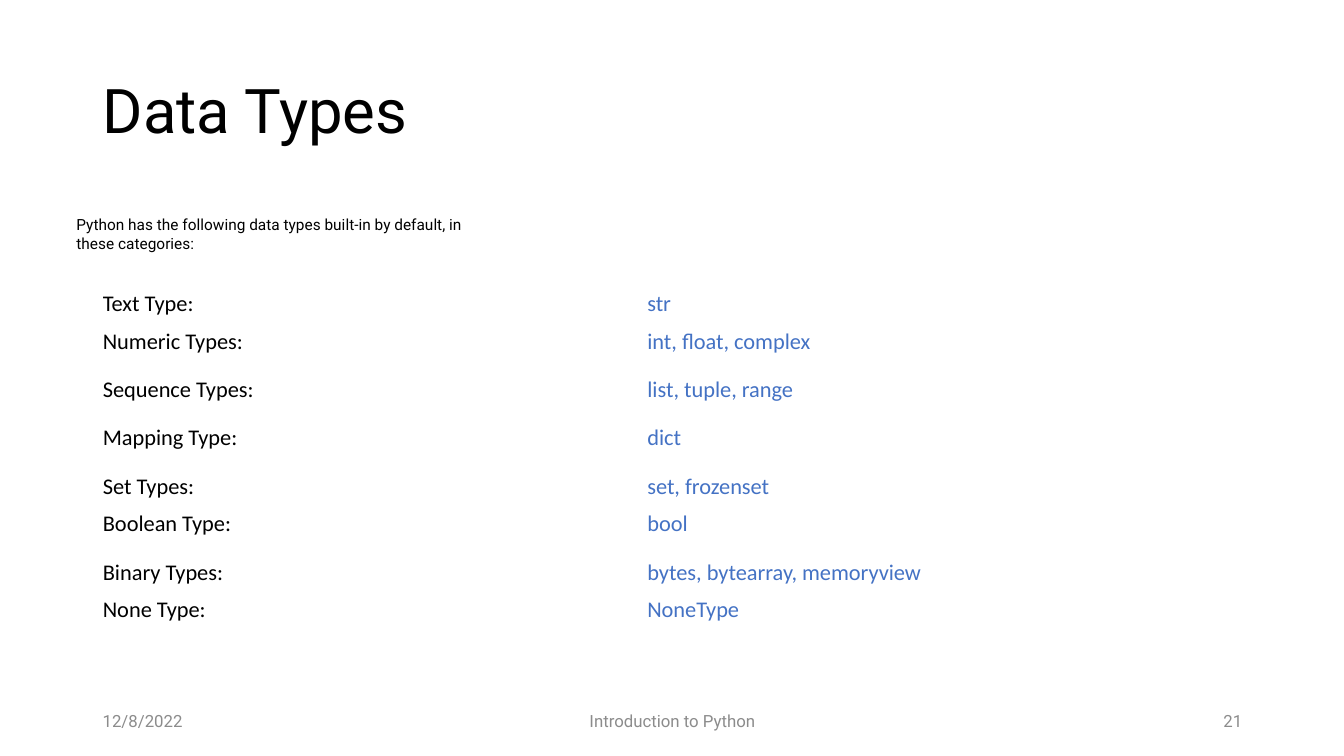
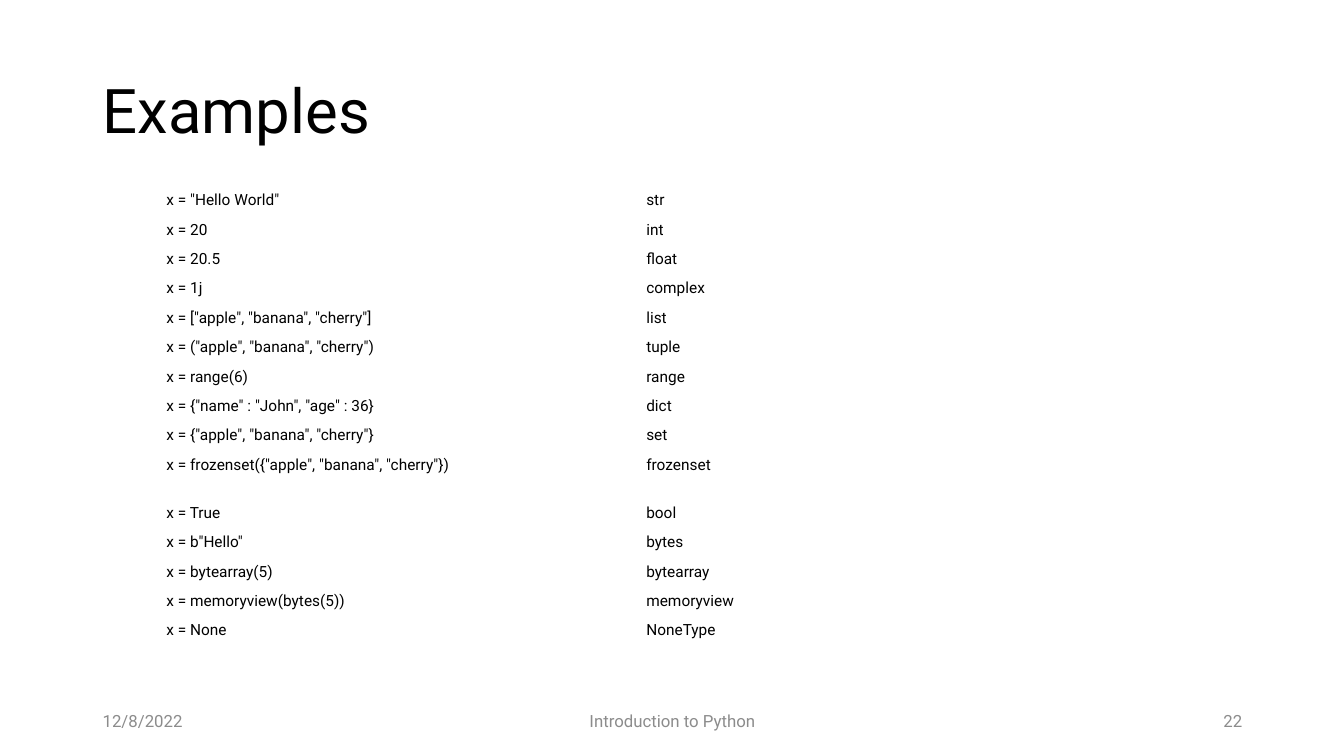
"""Build two slides on Python's built-in data types and examples of them."""
from lxml import etree
from pptx import Presentation
from pptx.dml.color import RGBColor
from pptx.enum import text as t
from pptx.oxml.ns import qn
from pptx.util import Inches, Pt

BLACK = RGBColor(0x00, 0x00, 0x00)
WHITE = RGBColor(0xFF, 0xFF, 0xFF)
BLUE = RGBColor(0x44, 0x72, 0xC4)
GRAY = RGBColor(0x8C, 0x8C, 0x8C)
HEADING_FONT = "Roboto"
TABLE_FONT = "Calibri"
LEFT, CENTER, RIGHT = t.PP_ALIGN.LEFT, t.PP_ALIGN.CENTER, t.PP_ALIGN.RIGHT

SHORT_ROW, TALL_ROW = 7 / 24, 0.48
FIRST_NUMBER = 21
DATE = "12/8/2022"
FOOTER = "Introduction to Python"
INTRO = "Python has the following data types built-in by default, in these categories:"

DATA_TYPES = [
    ("Text Type:", "str"),
    ("Numeric Types:", "int, float, complex"),
    ("Sequence Types:", "list, tuple, range"),
    ("Mapping Type:", "dict"),
    ("Set Types:", "set, frozenset"),
    ("Boolean Type:", "bool"),
    ("Binary Types:", "bytes, bytearray, memoryview"),
    ("None Type:", "NoneType"),
]
EXAMPLES = [
    ('x = "Hello World"', "str"),
    ("x = 20", "int"),
    ("x = 20.5", "float"),
    ("x = 1j", "complex"),
    ('x = ["apple", "banana", "cherry"]', "list"),
    ('x = ("apple", "banana", "cherry")', "tuple"),
    ("x = range(6)", "range"),
    ('x = {"name" : "John", "age" : 36}', "dict"),
    ('x = {"apple", "banana", "cherry"}', "set"),
    ('x = frozenset({"apple", "banana", "cherry"})', "frozenset"),
    ("x = True", "bool"),
    ('x = b"Hello"', "bytes"),
    ("x = bytearray(5)", "bytearray"),
    ("x = memoryview(bytes(5))", "memoryview"),
    ("x = None", "NoneType"),
]
SLIDES = [
    dict(title="Data Types", intro=INTRO, rows=DATA_TYPES, tall={1, 2, 3, 5},
         left=0.92, top=2.83, widths=(5.45, 6.05), fill=WHITE,
         size=16, font=TABLE_FONT, colors=(BLACK, BLUE)),
    dict(title="Examples", intro=None, rows=EXAMPLES, tall={9},
         left=1.55, top=1.85, widths=(4.81, 6.3, 0.15), fill=None,
         size=11, font=HEADING_FONT, colors=(BLACK, BLACK)),
]


def write(frame, words, size, font=HEADING_FONT, color=BLACK, align=LEFT, spacing=None):
    paragraph = frame.paragraphs[0]
    paragraph.alignment = align
    paragraph.line_spacing = spacing
    run = paragraph.add_run()
    run.text = words
    run.font.size = Pt(size)
    run.font.name = font
    run.font.color.rgb = color


def add_text(slide, words, left, top, width, height, size, **style):
    frame = slide.shapes.add_textbox(*map(Inches, (left, top, width, height))).text_frame
    frame.word_wrap = True
    frame.vertical_anchor = t.MSO_ANCHOR.MIDDLE
    write(frame, words, size, **style)


def format_cell(cell, inset, fill):
    cell.margin_left = Inches(inset)
    cell.margin_top = cell.margin_right = cell.margin_bottom = Inches(0.05)
    if fill is None:
        cell.fill.background()
    else:
        cell.fill.solid()
        cell.fill.fore_color.rgb = fill


def add_type_table(slide, content):
    rows, widths, size = content["rows"], content["widths"], content["size"]
    heights = [TALL_ROW if index in content["tall"] else SHORT_ROW
               for index in range(len(rows))]
    box = (content["left"], content["top"], sum(widths), sum(heights))
    table = slide.shapes.add_table(len(rows), len(widths), *map(Inches, box)).table
    table.first_row = table.horz_banding = False
    for column, width in zip(table.columns, widths):
        column.width = Inches(width)
    for row, height, values in zip(table.rows, heights, rows):
        row.height = Inches(height)
        for index, cell in enumerate(row.cells):
            format_cell(cell, 0.05 if index else 0.1, content["fill"])
            if index < len(values):
                write(cell.text_frame, values[index], size, font=content["font"],
                      color=content["colors"][index])
            else:
                paragraph = cell.text_frame.paragraphs[0]
                etree.SubElement(paragraph._p, qn("a:endParaRPr"), sz=str(size * 100))


def add_footer(slide, number):
    parts = [(DATE, 0.92, 3, LEFT), (FOOTER, 4.42, 4.5, CENTER), (str(number), 9.42, 3, RIGHT)]
    for words, left, width, align in parts:
        add_text(slide, words, left, 6.95, width, 0.4, 12, color=GRAY, align=align)


def prepare_layout(presentation):
    layout = presentation.slide_layouts.get_by_name("Title Only")
    title = layout.placeholders[0]
    title.left, title.top, title.width, title.height = map(Inches, (0.92, 0.4, 11.5, 1.45))
    title.text_frame.vertical_anchor = t.MSO_ANCHOR.MIDDLE
    title.text_frame.auto_size = t.MSO_AUTO_SIZE.NONE
    return layout


def main():
    presentation = Presentation()
    presentation.slide_width, presentation.slide_height = Inches(13.33), Inches(7.5)
    layout = prepare_layout(presentation)
    for number, content in enumerate(SLIDES, FIRST_NUMBER):
        slide = presentation.slides.add_slide(layout)
        write(slide.shapes.title.text_frame, content["title"], 44, spacing=0.9)
        add_type_table(slide, content)
        add_footer(slide, number)
        if content["intro"]:
            add_text(slide, content["intro"], 0.66, 2.09, 4.37, 0.46, 11)
    presentation.save("out.pptx")


if __name__ == "__main__":
    main()
